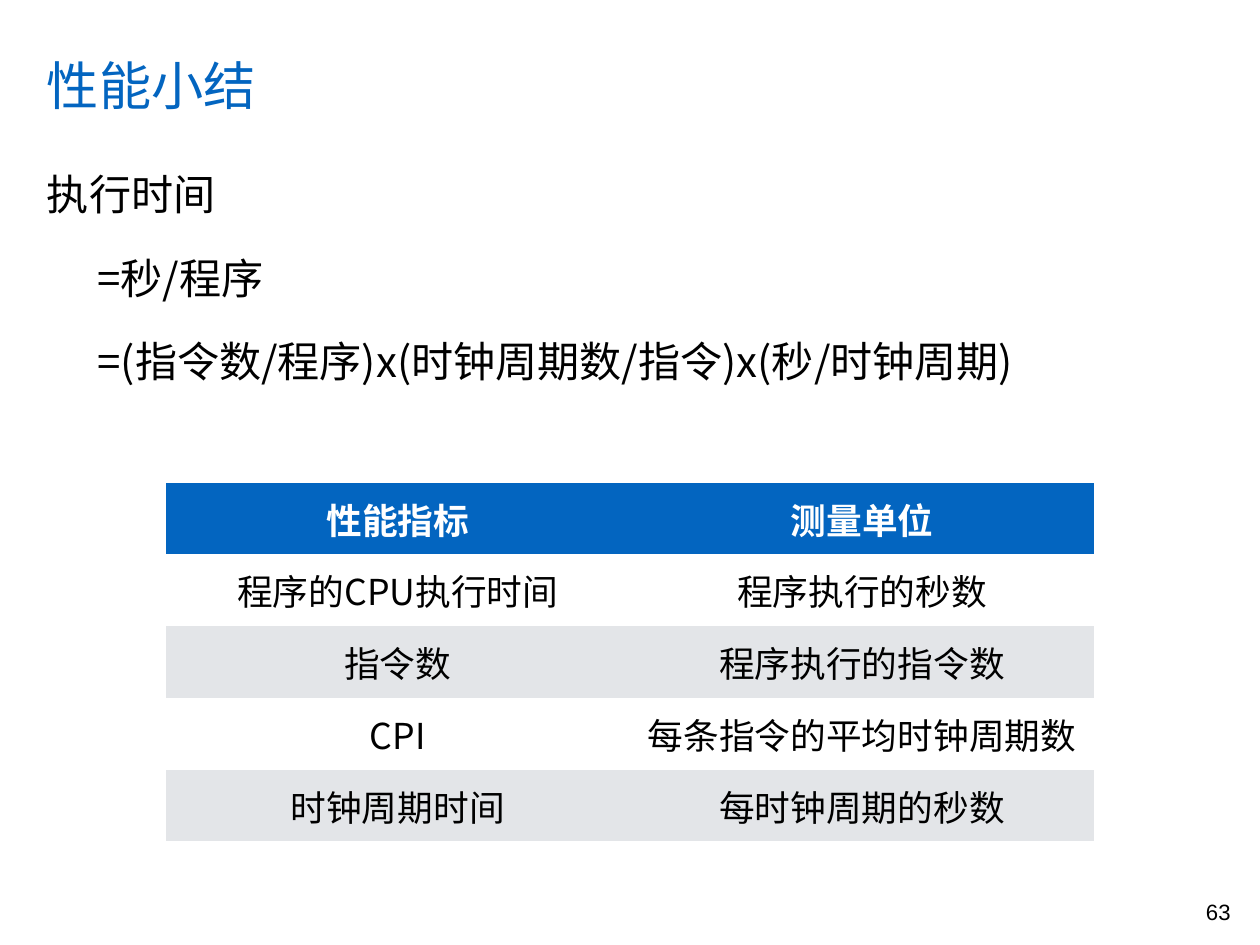
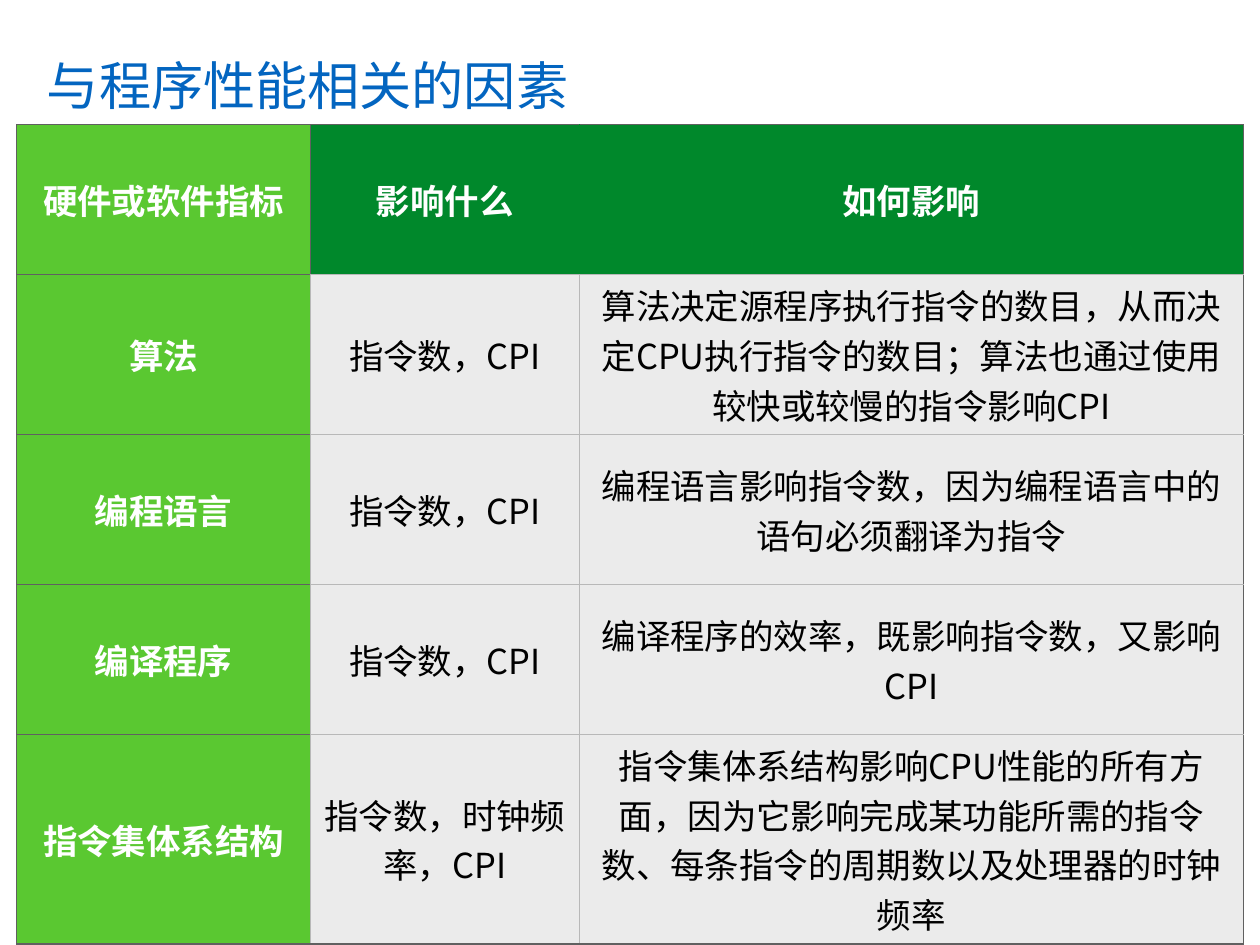
from lxml import etree
from pptx import Presentation
from pptx import util as u
from pptx.dml.color import RGBColor
from pptx.enum import text
from pptx.oxml import ns

BLUE, WHITE, BLACK = "0365C0", "FFFFFF", "000000"
STRIPE, BODY_GREY = "E3E5E8", "EBEBEB"
DARK_GREEN, LIGHT_GREEN = "00882B", "5AC831"
DARK_LINE, LIGHT_LINE = "606060", "B8B8B8"
CJK, LATIN = "Noto Sans CJK SC", "Arial"
INSET = u.Inches(0.06)
CENTER, MIDDLE = text.PP_ALIGN.CENTER, text.MSO_ANCHOR.MIDDLE

METRICS = [
    ("性能指标", "测量单位"),
    ("程序的CPU执行时间", "程序执行的秒数"),
    ("指令数", "程序执行的指令数"),
    ("CPI", "每条指令的平均时钟周期数"),
    ("时钟周期时间", "每时钟周期的秒数"),
]
FACTORS = [
    ("硬件或软件指标", "影响什么", "如何影响"),
    ("算法", "指令数，CPI",
     "算法决定源程序执行指令的数目，从而决定CPU执行指令的数目；算法也通过使用较快或较慢的指令影响CPI"),
    ("编程语言", "指令数，CPI", "编程语言影响指令数，因为编程语言中的语句必须翻译为指令"),
    ("编译程序", "指令数，CPI", "编译程序的效率，既影响指令数，又影响CPI"),
    ("指令集体系结构", "指令数，时钟频率，CPI",
     "指令集体系结构影响CPU性能的所有方面，因为它影响完成某功能所需的指令数、每条指令的周期数以及处理器的时钟频率"),
]


def rgb(color):
    return RGBColor.from_string(color)


def add_run(paragraph, words, size, color, bold=False, font=CJK):
    run = paragraph.add_run()
    run.text = words
    run.font.size = u.Pt(size)
    run.font.bold = bold
    run.font.color.rgb = rgb(color)
    run.font.name = font
    east_asian = etree.SubElement(run.font._element, ns.qn("a:ea"))
    east_asian.set("typeface", CJK)


def add_text_frame(slide, left, top, width, height, wrap=True):
    box = slide.shapes.add_textbox(*map(u.Inches, (left, top, width, height)))
    frame = box.text_frame
    frame.word_wrap = wrap
    frame.margin_left = frame.margin_right = INSET
    frame.margin_top = frame.margin_bottom = INSET
    return frame


def add_titled_slide(deck, title):
    slide = deck.slides.add_slide(deck.slide_layouts[6])
    frame = add_text_frame(slide, 0.47, 0.49, 12.14, 0.94)
    frame.vertical_anchor = MIDDLE
    add_run(frame.paragraphs[0], title, 42.4, BLUE)
    return slide


def add_formula(slide, heading, terms):
    """Heading followed by indented lines of the equation."""
    frame = add_text_frame(slide, 0.47, 1.84, 13.29, 2.89)
    add_run(frame.paragraphs[0], heading, 34.2, BLACK)
    for term in terms:
        paragraph = frame.add_paragraph()
        paragraph.space_before = u.Pt(27)
        properties = paragraph._p.get_or_add_pPr()
        properties.set("marL", str(u.Inches(0.57)))
        properties.set("indent", "0")
        add_run(paragraph, term, 34.2, BLACK)


def add_page_number(slide, number):
    paragraph = add_text_frame(slide, 13.55, 10.08, 0.4, 0.42, wrap=False).paragraphs[0]
    paragraph.alignment = CENTER
    add_run(paragraph, number, 18, BLACK, font=LATIN)


def set_borders(cell, colors):
    """Colours run left, right, top, bottom; None hides that side."""
    properties = cell._tc.get_or_add_tcPr()
    for side, color in zip("LRTB", colors):
        line = etree.SubElement(properties, ns.qn(f"a:ln{side}"), w=str(u.Pt(1)))
        if color is None:
            etree.SubElement(line, ns.qn("a:noFill"))
        else:
            fill = etree.SubElement(line, ns.qn("a:solidFill"))
            etree.SubElement(fill, ns.qn("a:srgbClr"), val=color)


def add_grid(slide, rows, left, top, widths, heights, size, cell_style, borders):
    """cell_style(row, column) gives fill and whether the cell is a heading."""
    table = slide.shapes.add_table(
        len(rows), len(widths), u.Inches(left), u.Inches(top),
        u.Inches(sum(widths)), u.Inches(sum(heights))).table
    table.first_row = table.horz_banding = False
    for column, width in zip(table.columns, widths):
        column.width = u.Inches(width)
    for r, row in enumerate(rows):
        table.rows[r].height = u.Inches(heights[r])
        for c, words in enumerate(row):
            cell = table.cell(r, c)
            fill, heading = cell_style(r, c)
            set_borders(cell, borders(r, c))
            cell.fill.solid()
            cell.fill.fore_color.rgb = rgb(fill)
            cell.vertical_anchor = MIDDLE
            cell.margin_left = cell.margin_right = INSET
            cell.margin_top = cell.margin_bottom = INSET
            paragraph = cell.text_frame.paragraphs[0]
            paragraph.alignment = CENTER
            paragraph._p.get_or_add_pPr().set("hangingPunct", "0")
            add_run(paragraph, words, size, WHITE if heading else BLACK,
                    heading, LATIN if heading else CJK)


def metric_style(row, column):
    if row == 0:
        return BLUE, True
    return (WHITE if row % 2 else STRIPE), False


def metric_borders(row, column):
    return [None] * 4


def factor_style(row, column):
    if column == 0:
        return LIGHT_GREEN, True
    return (DARK_GREEN, True) if row == 0 else (BODY_GREY, False)


def factor_borders(row, column):
    def vertical(edge):
        if edge in (0, len(FACTORS[0])):
            return DARK_LINE
        if row == 0:
            return DARK_LINE if edge == 1 else DARK_GREEN
        return LIGHT_LINE

    def horizontal(edge):
        outer = edge in (0, len(FACTORS))
        return DARK_LINE if outer or column == 0 else LIGHT_LINE

    return vertical(column), vertical(column + 1), horizontal(row), horizontal(row + 1)


def main():
    deck = Presentation()
    deck.slide_width, deck.slide_height = u.Inches(14.22), u.Inches(10.67)

    summary = add_titled_slide(deck, "性能小结")
    add_formula(summary, "执行时间",
                ["=秒/程序", "=(指令数/程序)x(时钟周期数/指令)x(秒/时钟周期)"])
    add_page_number(summary, "63")
    add_grid(summary, METRICS, 1.87, 5.45, [5.24] * 2, [0.81] * len(METRICS), 29,
             metric_style, metric_borders)

    factors = add_titled_slide(deck, "与程序性能相关的因素")
    add_grid(factors, FACTORS, 0.19, 1.41, [3.31, 3.04, 7.49],
             [1.69, 1.81, 1.69, 1.69, 2.37], 28, factor_style, factor_borders)

    deck.save("out.pptx")


if __name__ == "__main__":
    main()
